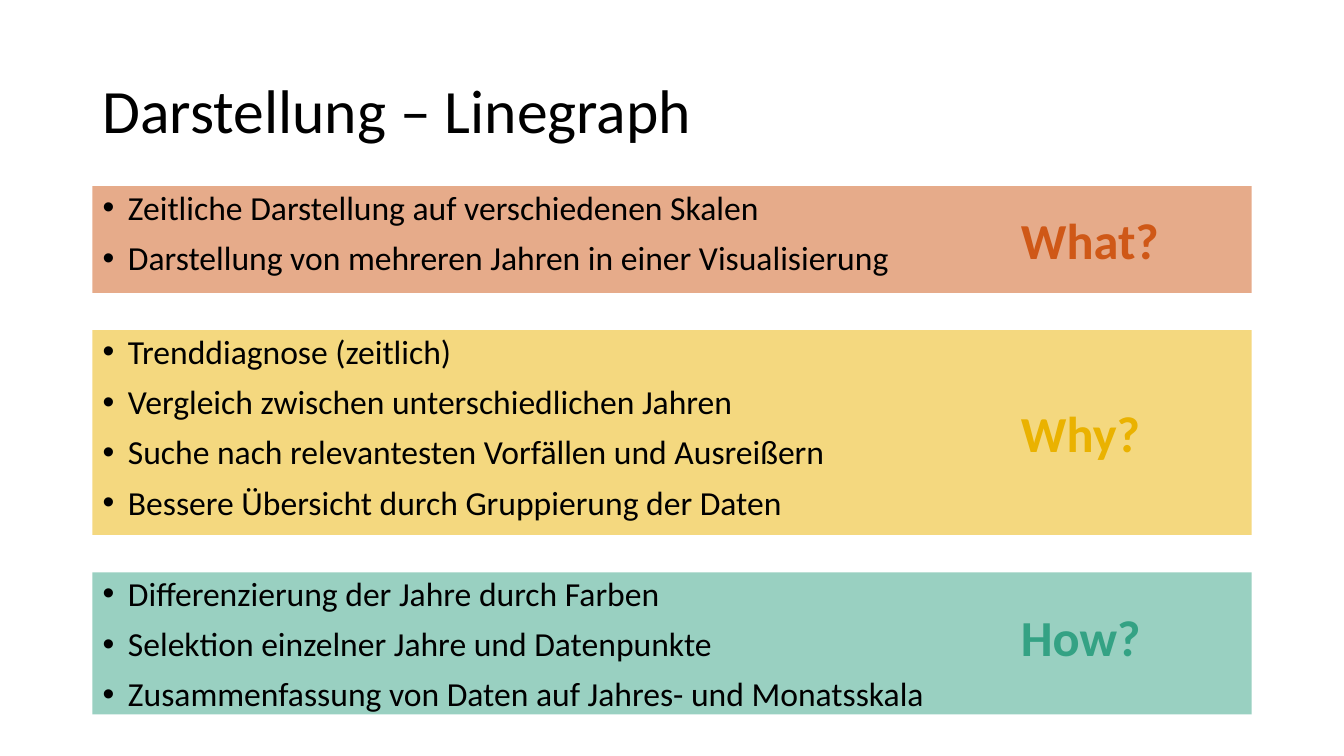
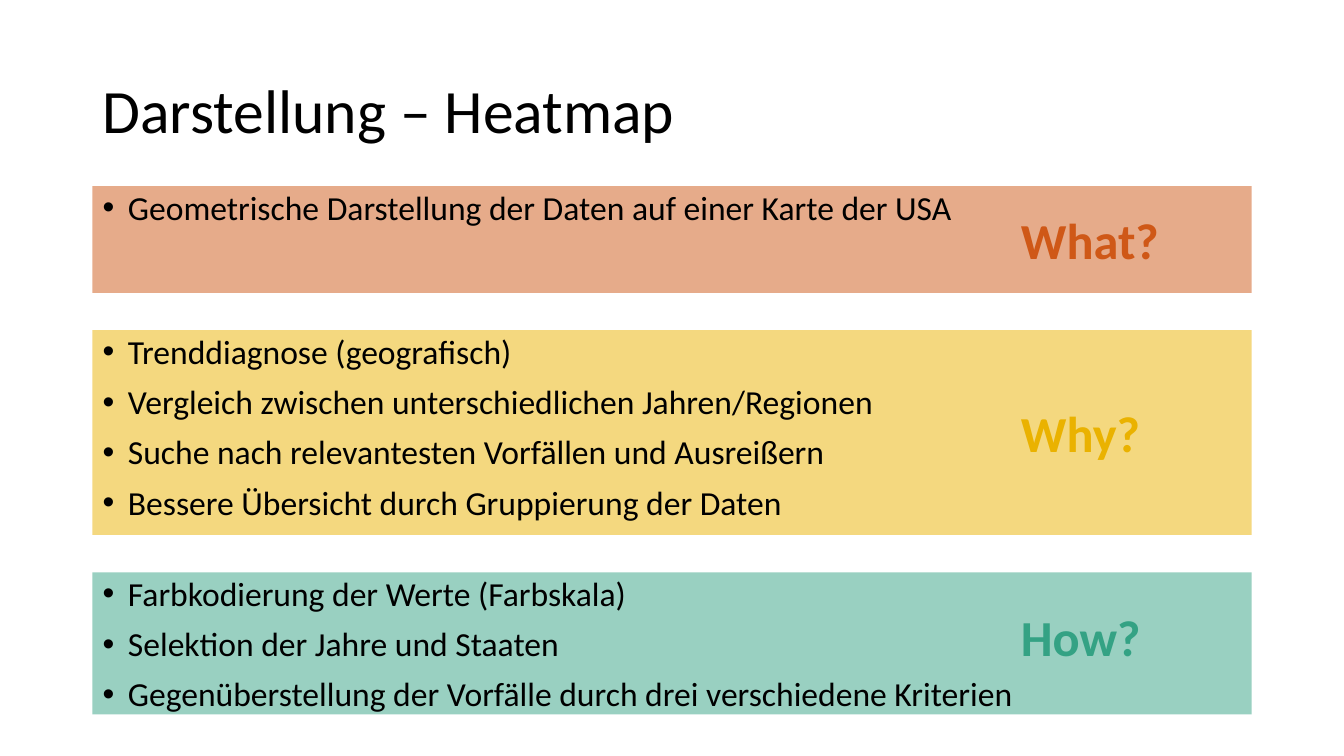
from lxml import etree
from pptx import Presentation
from pptx.dml.color import RGBColor
from pptx.enum.text import MSO_ANCHOR, MSO_AUTO_SIZE, PP_ALIGN
from pptx.oxml.ns import qn
from pptx.util import Cm, Pt

TOP, MIDDLE = MSO_ANCHOR.TOP, MSO_ANCHOR.MIDDLE
LEFT = PP_ALIGN.LEFT
NO_FIT, GROW = MSO_AUTO_SIZE.NONE, MSO_AUTO_SIZE.SHAPE_TO_FIT_TEXT
COMPARISON = 4

FONT = "Calibri"
BLACK = "000000"
MARGIN, WIDTH = 2.33, 29.21
BANDS_TOP, GAP = 4.69, 0.94
LABEL_LEFT, LABEL_HEIGHT = 25.48, 1.8
INDENT = 0.64
BANDS = [
    ("What?", "CF5817", 2.69, 4.01, 0),
    ("Why?", "EAB200", 5.16, 3.53, 0),
    ("How?", "34A284", 3.58, 3.56, 0.15),
]


def rgb(value):
    return RGBColor.from_string(value)


class Deck:
    def __init__(self):
        self.prs = Presentation()
        self.prs.slide_width, self.prs.slide_height = Cm(33.87), Cm(19.05)
        self.s = None

    def place(self, sp, left, top, width, height):
        sp.left, sp.top = Cm(left), Cm(top)
        sp.width, sp.height = Cm(width), Cm(height)

    def run(self, p, text, size, color=BLACK, bold=False):
        r = p.add_run()
        r.text = text
        r.font.name, r.font.size, r.font.bold = FONT, Pt(size), bold
        r.font.color.rgb = rgb(color)

    def frame(self, sp, anchor, fit, wrap=True):
        tf = sp.text_frame
        tf.auto_size, tf.word_wrap, tf.vertical_anchor = fit, wrap, anchor
        return tf

    def title(self, text):
        sp = self.s.shapes.title
        self.place(sp, MARGIN, 1.01, WIDTH, 3.68)
        p = self.frame(sp, MIDDLE, NO_FIT).paragraphs[0]
        p.alignment, p.line_spacing = LEFT, 0.9
        self.run(p, text, 44)

    def bullet(self, p):
        p.alignment, p.line_spacing, p.space_before = LEFT, 0.9, Pt(10)
        pPr = p._p.get_or_add_pPr()
        pPr.set("marL", str(Cm(INDENT)))
        pPr.set("indent", str(-Cm(INDENT)))
        etree.SubElement(pPr, qn("a:buFont"), typeface="Arial")
        etree.SubElement(pPr, qn("a:buChar"), char="•")

    def band(self, sp, top, height, color, items):
        self.place(sp, MARGIN, top, WIDTH, height)
        sp.fill.solid()
        sp.fill.fore_color.rgb = rgb(color)
        fill = sp.element.spPr.find(".//" + qn("a:srgbClr"))
        etree.SubElement(fill, qn("a:alpha"), val="50000")
        tf = self.frame(sp, TOP, NO_FIT)
        for i, item in enumerate(items):
            p = tf.add_paragraph() if i else tf.paragraphs[0]
            self.bullet(p)
            self.run(p, item, 24)

    def label(self, text, top, width, color):
        sp = self.s.shapes.add_textbox(Cm(LABEL_LEFT), Cm(top), Cm(width), Cm(LABEL_HEIGHT))
        tf = self.frame(sp, TOP, GROW, wrap=False)
        self.run(tf.paragraphs[0], text, 36, color, bold=True)

    def slide(self, title, lists):
        self.s = self.prs.slides.add_slide(self.prs.slide_layouts[COMPARISON])
        self.title(title)
        *bodies, spare = list(self.s.placeholders)[1:]
        spare.element.getparent().remove(spare.element)
        top = BANDS_TOP
        for sp, items, (text, color, height, width, lift) in zip(bodies, lists, BANDS):
            self.band(sp, top, height, color, items)
            self.label(text, top + (height - LABEL_HEIGHT) / 2 - lift, width, color)
            top += height + GAP


SHARED_GOALS = [
    "Suche nach relevantesten Vorfällen und Ausreißern",
    "Bessere Übersicht durch Gruppierung der Daten",
]

deck = Deck()
deck.slide("Darstellung – Linegraph", [
    ["Zeitliche Darstellung auf verschiedenen Skalen",
     "Darstellung von mehreren Jahren in einer Visualisierung"],
    ["Trenddiagnose (zeitlich)",
     "Vergleich zwischen unterschiedlichen Jahren", *SHARED_GOALS],
    ["Differenzierung der Jahre durch Farben",
     "Selektion einzelner Jahre und Datenpunkte",
     "Zusammenfassung von Daten auf Jahres- und Monatsskala"],
])
deck.slide("Darstellung – Heatmap", [
    ["Geometrische Darstellung der Daten auf einer Karte der USA"],
    ["Trenddiagnose (geografisch)",
     "Vergleich zwischen unterschiedlichen Jahren/Regionen", *SHARED_GOALS],
    ["Farbkodierung der Werte (Farbskala)",
     "Selektion der Jahre und Staaten",
     "Gegenüberstellung der Vorfälle durch drei verschiedene Kriterien"],
])
deck.prs.save("out.pptx")
